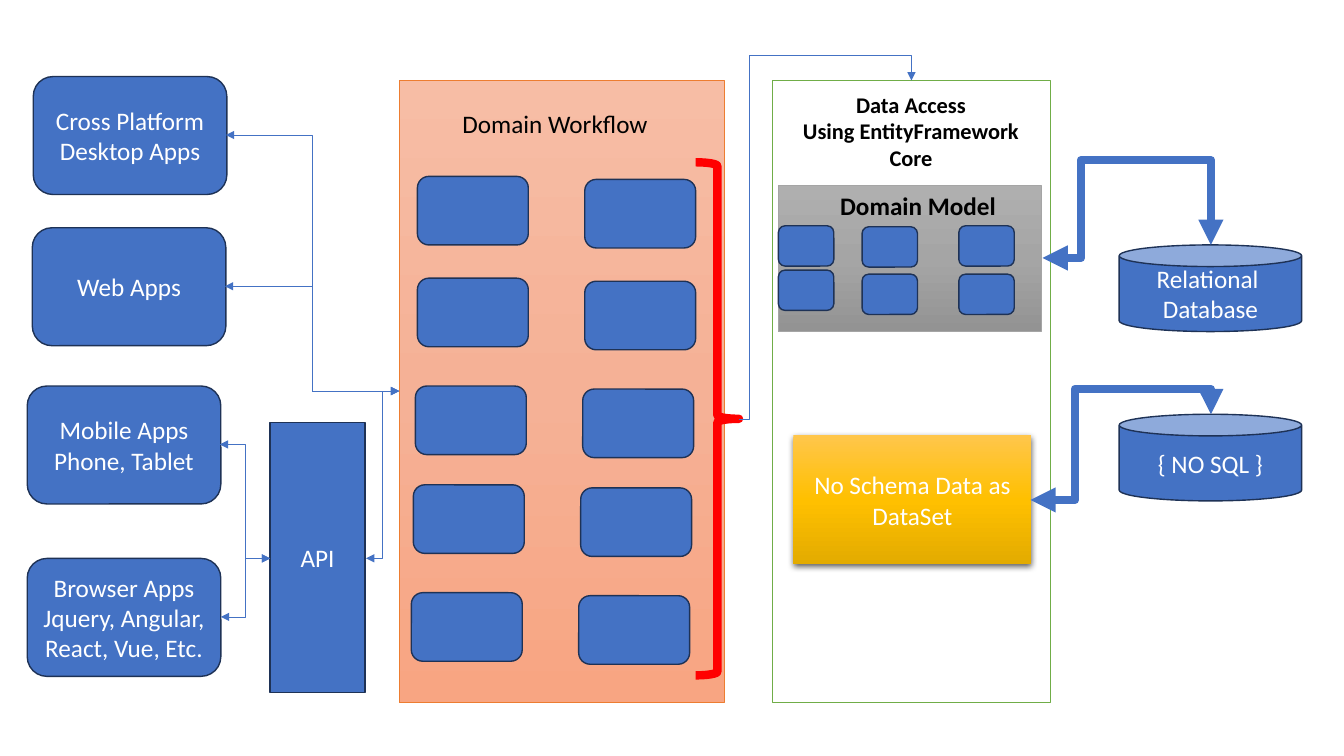
from dataclasses import dataclass
from typing import Optional

import pptx
import pptx.dml.color
import pptx.enum.shapes
import pptx.enum.text
import pptx.oxml
import pptx.oxml.ns
import pptx.util

Inches = pptx.util.Inches
Pt = pptx.util.Pt
SHAPE = pptx.enum.shapes.MSO_SHAPE
ANCHOR = pptx.enum.text.MSO_ANCHOR
NS = pptx.oxml.ns.nsdecls("a")

COLORS = {
    "blue": "4472C4", "navy": "1E3256", "green": "70AD47", "gray": "A5A5A5",
    "orange": "ED7D31", "red": "FF0000", "white": "FFFFFF", "black": "000000",
}
GRADIENTS = {
    "gray_fade": ("AFAFAF", "A5A5A5", "939393"),
    "gold_fade": ("FFC64B", "FFC000", "E3AB00"),
    "peach_fade": ("F7BDA5", "F5B196", "F8A582"),
}


@dataclass
class Box:
    x: float
    y: float
    w: float
    h: float
    text: str = ""
    kind: SHAPE = SHAPE.ROUNDED_RECTANGLE
    fill: Optional[str] = "blue"
    line: Optional[str] = "navy"
    width: float = 1
    shadow: bool = False


@dataclass
class Label:
    x: float
    y: float
    w: float
    h: float
    text: str
    size: float = 18
    bold: bool = False


@dataclass
class Link:
    """Elbow arrow; via is the (x, y) of its first corner after the first turn."""
    x1: float
    y1: float
    x2: float
    y2: float
    via: Optional[tuple[float, float]] = None
    width: float = 0.5
    double: bool = True


def rgb(name: str) -> pptx.dml.color.RGBColor:
    return pptx.dml.color.RGBColor.from_string(COLORS[name])


def write(s, text: str, color: str, size: float = 18, bold: bool = False,
          anchor=ANCHOR.MIDDLE) -> None:
    tf = s.text_frame
    for name, value in {"word_wrap": True, "vertical_anchor": anchor}.items():
        setattr(tf, name, value)
    for i, line in enumerate(text.split("\n")):
        p = tf.paragraphs[0] if i == 0 else tf.add_paragraph()
        p.alignment = pptx.enum.text.PP_ALIGN.CENTER
        r = p.add_run()
        r.text = line
        for name, value in {"name": "Calibri", "size": Pt(size), "bold": bold}.items():
            setattr(r.font, name, value)
        r.font.color.rgb = rgb(color)


def fill_gradient(s, colors: tuple[str, ...]) -> None:
    s.fill.gradient()
    s.fill.gradient_angle = 270
    stops = s._element.spPr.find(".//" + pptx.oxml.ns.qn("a:gsLst"))
    for stop in list(stops):
        stops.remove(stop)
    for i, color in enumerate(colors):
        stops.append(pptx.oxml.parse_xml(
            f'<a:gs {NS} pos="{i * 50000}"><a:srgbClr val="{color}"/></a:gs>'))


def draw_box(shapes, box: Box) -> None:
    s = shapes.add_shape(box.kind, *map(Inches, (box.x, box.y, box.w, box.h)))
    s.shadow.inherit = False
    if box.fill in GRADIENTS:
        fill_gradient(s, GRADIENTS[box.fill])
    elif box.fill:
        s.fill.solid()
        s.fill.fore_color.rgb = rgb(box.fill)
    else:
        s.fill.background()
    if box.line:
        s.line.color.rgb = rgb(box.line)
        s.line.width = Pt(box.width)
    else:
        s.line.fill.background()
    if box.shadow:
        effects = s._element.spPr.find(pptx.oxml.ns.qn("a:effectLst"))
        effects.append(pptx.oxml.parse_xml(
            f'<a:outerShdw {NS} blurRad="{Pt(4.5)}" dist="{Pt(1.5)}" dir="5400000" '
            'algn="ctr" rotWithShape="0"><a:srgbClr val="000000">'
            '<a:alpha val="63000"/></a:srgbClr></a:outerShdw>'))
    if box.text:
        write(s, box.text, "white")


def draw_label(shapes, label: Label) -> None:
    s = shapes.add_textbox(*map(Inches, (label.x, label.y, label.w, label.h)))
    write(s, label.text, "black", label.size, label.bold, ANCHOR.TOP)


def draw_link(shapes, link: Link) -> None:
    s = shapes.add_connector(pptx.enum.shapes.MSO_CONNECTOR.ELBOW,
                             *map(Inches, (link.x1, link.y1, link.x2, link.y2)))
    s.line.color.rgb = rgb("blue")
    s.line.width = Pt(link.width)
    spPr = s._element.spPr
    ln = spPr.find(pptx.oxml.ns.qn("a:ln"))
    for end in ("headEnd", "tailEnd") if link.double else ("tailEnd",):
        ln.append(pptx.oxml.parse_xml(f'<a:{end} {NS} type="triangle"/>'))
    spPr.append(pptx.oxml.parse_xml(f"<a:effectLst {NS}/>"))
    if link.via:
        geom = spPr.find(pptx.oxml.ns.qn("a:prstGeom"))
        geom.set("prst", "bentConnector4")
        for old in list(geom):
            geom.remove(old)
        ratios = ((link.via[0] - link.x1) / (link.x2 - link.x1),
                  (link.via[1] - link.y1) / (link.y2 - link.y1))
        guides = "".join(f'<a:gd name="adj{i}" fmla="val {round(ratio * 100000)}"/>'
                         for i, ratio in enumerate(ratios, 1))
        geom.append(pptx.oxml.parse_xml(f"<a:avLst {NS}>{guides}</a:avLst>"))


DRAW = {Box: draw_box, Label: draw_label, Link: draw_link}

MODEL_COLUMNS = ((7.72, 2.24, 2.68), (8.55, 2.25, 2.72), (9.51, 2.24, 2.72))
WORKFLOW_ROWS = ((4.14, 1.75), (4.14, 2.76), (4.12, 3.83), (4.1, 4.81), (4.08, 5.88))
CLIENTS = (
    (0.33, 0.76, "Cross Platform Desktop Apps"),
    (0.32, 2.26, "Web Apps"),
    (0.27, 3.83, "Mobile Apps\nPhone, Tablet"),
    (0.27, 5.54, "Browser Apps\nJquery, Angular, React, Vue, Etc."),
)

DATA_ACCESS = [
    Box(11.1, 2.43, 1.81, 0.86, "Relational \nDatabase", SHAPE.CAN),
    Box(11.1, 4.11, 1.81, 0.86, "{ NO SQL }", SHAPE.CAN),
    Box(7.66, 0.8, 2.76, 6.17, "", SHAPE.RECTANGLE, "white", "green"),
    Label(7.73, 0.85, 2.61, 0.91, "Data Access\nUsing EntityFramework Core", 16, True),
    Box(7.72, 1.84, 2.61, 1.45, "", SHAPE.RECTANGLE, "gray_fade", "gray", 0.5),
    Label(7.87, 1.84, 2.47, 0.4, "Domain Model", bold=True),
    *(Box(x, y, 0.55, 0.4) for x, *tops in MODEL_COLUMNS for y in tops),
    Link(10.34, 2.56, 12.01, 2.43, (10.72, 1.59), 6),
    Box(7.87, 4.32, 2.36, 1.28, "No Schema Data as DataSet", SHAPE.RECTANGLE,
        "gold_fade", None, shadow=True),
    Link(10.22, 4.96, 12.01, 4.11, (10.66, 3.86), 6),
]
WORKFLOW = [
    Box(3.96, 0.8, 3.22, 6.17, "", SHAPE.RECTANGLE, "peach_fade", "orange", 0.5),
    Label(4.14, 1.03, 2.73, 0.4, "Domain Workflow"),
    *(Box(x + dx, y + dy, 1.1, 0.68) for x, y in WORKFLOW_ROWS
      for dx, dy in ((0, 0), (1.66, 0.03))),
    Box(6.9, 1.61, 0.43, 5.09, "", SHAPE.RIGHT_BRACE, None, "red", 6),
    Link(7.33, 4.16, 9.04, 0.8, (7.43, 0.55), double=False),
]
APPS = [
    *(Box(x, y, 1.92, 1.17, text) for x, y, text in CLIENTS),
    Link(2.24, 1.34, 3.96, 3.88),
    Link(2.23, 2.84, 3.96, 3.88),
    Box(2.68, 4.19, 0.94, 2.68, "API", SHAPE.FLOWCHART_PROCESS),
    Link(2.18, 4.41, 2.68, 5.54),
    Link(2.19, 6.12, 2.68, 5.54),
    Link(3.63, 5.54, 3.96, 3.88),
]


def main() -> None:
    prs = pptx.Presentation()
    prs.slide_width, prs.slide_height = Inches(13.33), Inches(7.5)
    slide = prs.slides.add_slide(prs.slide_layouts[6])
    for item in DATA_ACCESS + WORKFLOW + APPS:
        DRAW[type(item)](slide.shapes, item)
    prs.save("out.pptx")


if __name__ == "__main__":
    main()
